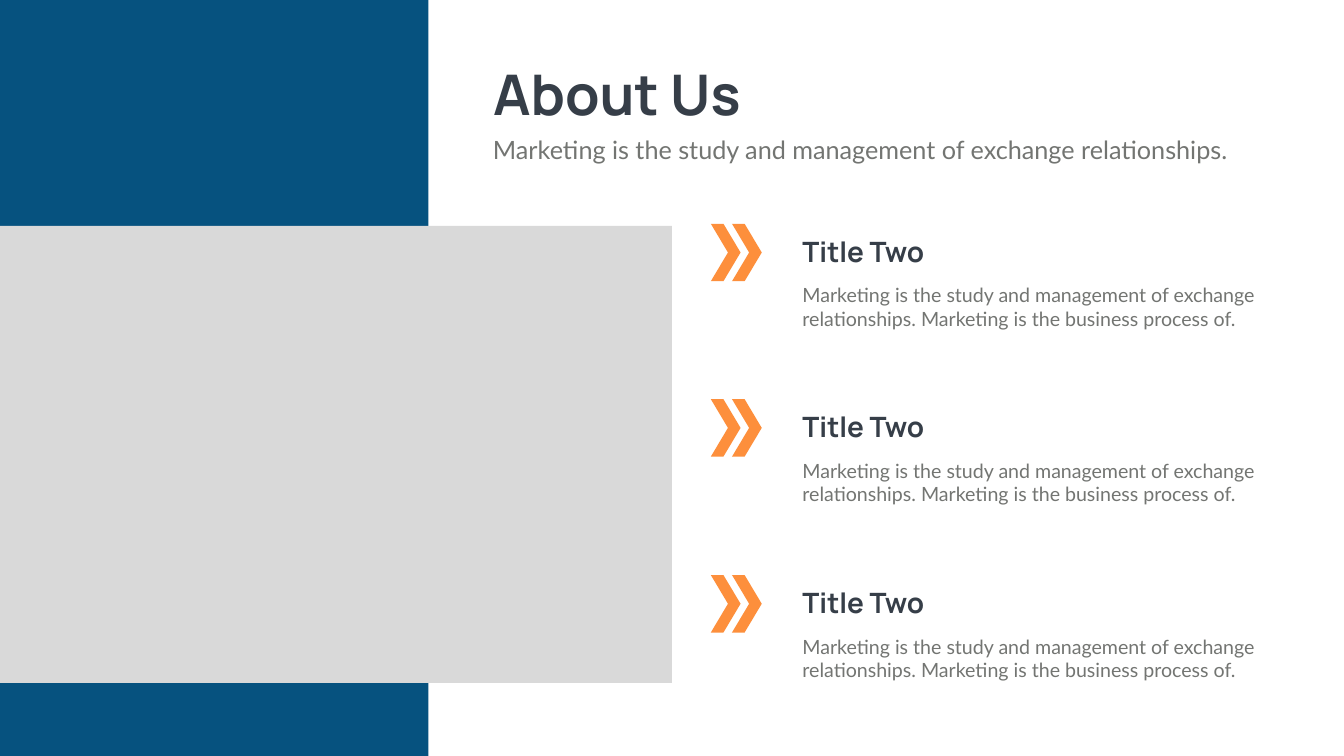
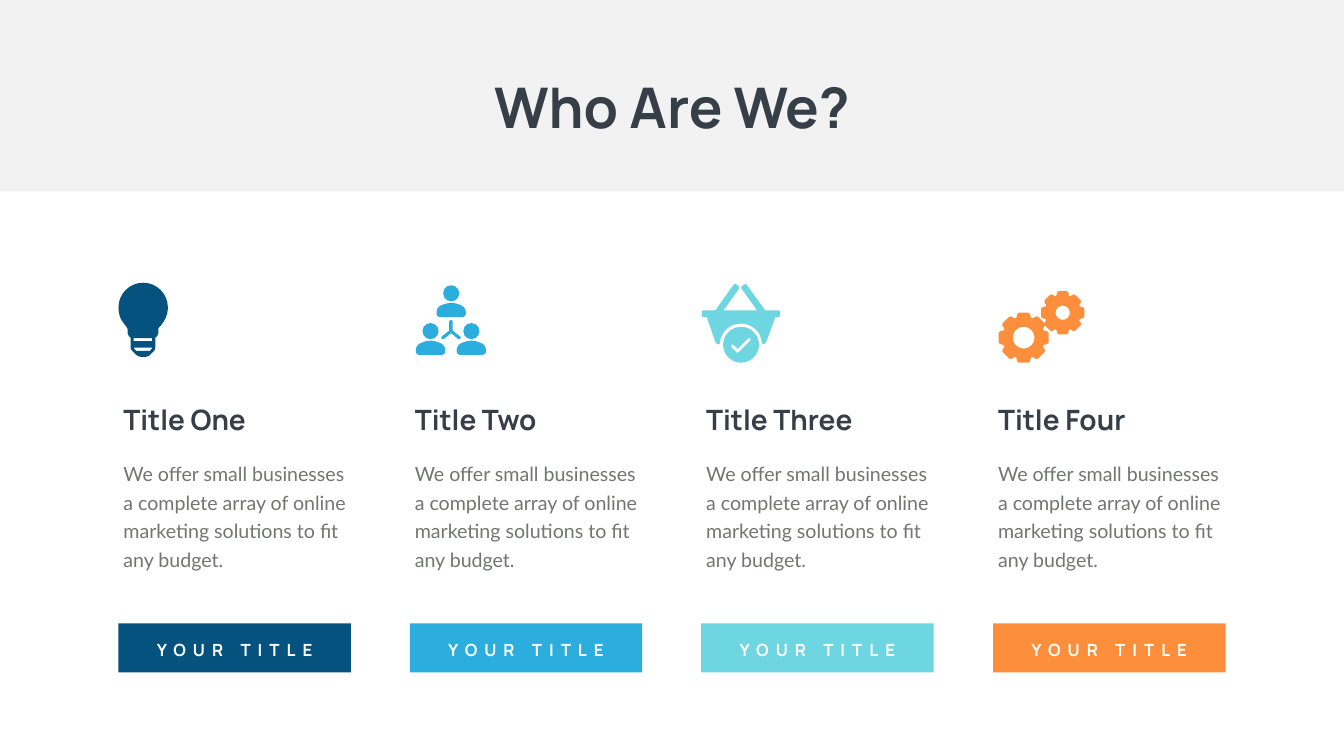
from math import cos, pi, sin

from pptx import Presentation
from pptx.dml.color import RGBColor
from pptx.enum.shapes import MSO_SHAPE as SHAPE
from pptx.enum.text import MSO_ANCHOR as ANCHOR
from pptx.enum.text import MSO_AUTO_SIZE as AUTO_SIZE
from pptx.enum.text import PP_ALIGN as ALIGN
from pptx.util import Pt

PX = 9144  # EMU in one px, 100 px to the inch
WIDTH, HEIGHT = 2666, 1500
COLORS = {
    "navy": "06527F",
    "blue": "2BAEDD",
    "aqua": "6ED6E1",
    "orange": "FD8F3C",
    "dark": "363E48",
    "gray": "737572",
    "photo": "D9D9D9",
    "band": "F2F2F2",
    "white": "FFFFFF",
}
HEAD_FONT, BODY_FONT = "Manrope", "Lato"
TITLE_ONLY = 5

ABOUT = "Marketing is the study and management of exchange relationships."
ABOUT_MORE = ABOUT + " Marketing is the business process of."
OFFER = ("We offer small businesses a complete array of online "
         "marketing solutions to fit any budget.")

# Outlines: a pair is a line to a point, six numbers are a Bezier curve.
BULB = [
    [(266, 690), (266, 691, 266, 692, 267, 693), (270, 696), (298, 696),
     (300, 693), (301, 692, 302, 691, 302, 690)],
    [(265, 671), (265, 677), (302, 677), (302, 671)],
    [(284, 561), (311, 561, 333, 583, 333, 610),
     (333, 629, 324, 639, 319, 646), (316, 649, 314, 651, 314, 653),
     (314, 659), (314, 664, 312, 667, 308, 670), (308, 689),
     (308, 692, 307, 695, 305, 697), (299, 703),
     (296, 706, 292, 708, 288, 708), (280, 708),
     (276, 708, 272, 706, 269, 703), (263, 697),
     (261, 695, 259, 692, 259, 689), (259, 670),
     (256, 667, 253, 664, 253, 659), (253, 653),
     (253, 651, 251, 649, 249, 646), (243, 639, 235, 629, 235, 610),
     (235, 583, 257, 561, 284, 561)],
]
SHOULDERS = [
    (-22, 47), (22, 47), (26, 47, 29, 44, 29, 40), (29, 38),
    (29, 32, 26, 28, 22, 25), (16, 22, 8, 19, 0, 19),
    (-8, 19, -16, 22, -22, 25), (-26, 28, -29, 32, -29, 38), (-29, 40),
    (-29, 44, -26, 47, -22, 47),
]
BRANCHES = [
    (910, 673), (911, 673, 912, 672, 913, 672), (914, 670, 914, 668, 912, 667),
    (898, 656), (898, 638), (898, 637, 896, 635, 895, 635),
    (893, 635, 891, 637, 891, 638), (891, 656), (877, 667),
    (876, 668, 875, 670, 876, 672), (878, 673, 880, 673, 881, 672),
    (895, 661), (908, 672), (909, 673, 910, 673, 910, 673),
]
BASKET = [
    (1544, 616), (1518, 616), (1481, 565), (1480, 564, 1478, 563, 1477, 564),
    (1472, 568), (1470, 569, 1470, 571, 1471, 573), (1502, 616), (1435, 616),
    (1466, 573), (1467, 571, 1466, 569, 1465, 568), (1460, 564),
    (1458, 563, 1456, 564, 1455, 565), (1419, 616), (1395, 616),
    (1393, 616, 1392, 617, 1392, 619), (1392, 625),
    (1392, 627, 1393, 629, 1395, 629), (1402, 629), (1418, 676),
    (1419, 678, 1420, 680, 1422, 682), (1423, 683, 1424, 683, 1426, 683),
    (1427, 682, 1428, 681, 1428, 680), (1430, 658, 1448, 642, 1470, 642),
    (1491, 642, 1510, 658, 1511, 680), (1512, 681, 1512, 682, 1514, 683),
    (1515, 683, 1516, 683, 1517, 682), (1519, 680, 1520, 678, 1521, 676),
    (1538, 629), (1544, 629), (1546, 629, 1547, 627, 1547, 625), (1547, 619),
    (1547, 617, 1546, 616, 1544, 616),
]
CHECK = [
    (1488, 676), (1465, 699), (1464, 700, 1462, 700, 1461, 699), (1451, 689),
    (1450, 688, 1450, 686, 1451, 685), (1452, 683, 1454, 683, 1456, 685),
    (1463, 692), (1483, 672), (1485, 670, 1487, 670, 1488, 672),
    (1489, 673, 1489, 675, 1488, 676),
]
# One tooth of a gear of radius 50, pointing up.
TOOTH = [(-14.5, -39.5), (-12.5, -47), (-9.5, -49.7),
         (9.5, -49.7), (12.5, -47), (14.5, -39.5)]


def rgb(name):
    return RGBColor.from_string(COLORS[name])


def paint(sp, color):
    """Give a shape a flat fill without line or shadow."""
    sp.shadow.inherit = False
    sp.fill.solid()
    sp.fill.fore_color.rgb = rgb(color)
    sp.line.fill.background()


def place(sp, box):
    sp.left, sp.top, sp.width, sp.height = (v * PX for v in box)


def add_block(shapes, kind, box, color, adj=None):
    sp = shapes.add_shape(kind, *(v * PX for v in box))
    if adj is not None:
        sp.adjustments[0] = adj
    paint(sp, color)


def write(sp, text, size, font=HEAD_FONT, color="dark", bold=True,
          align=ALIGN.LEFT, line=None, spacing=None):
    tf = sp.text_frame
    tf.word_wrap = True
    tf.auto_size = AUTO_SIZE.SHAPE_TO_FIT_TEXT
    tf.vertical_anchor = ANCHOR.TOP
    p = tf.paragraphs[0]
    p.alignment = align
    if line:
        p.line_spacing = Pt(line)
    r = p.add_run()
    r.text = text
    r.font.size = Pt(size)
    r.font.name = font
    r.font.bold = bold
    r.font.color.rgb = rgb(color)
    if spacing:
        r.font._element.set("spc", str(spacing * 100))


def add_text(shapes, box, text, size, **style):
    sp = shapes.add_textbox(*(v * PX for v in box))
    write(sp, text, size, **style)


def add_body(shapes, box, text, size=28, line=None):
    add_text(shapes, box, text, size, font=BODY_FONT, color="gray",
             bold=False, line=line)


def add_title(slide, box, text, align=ALIGN.LEFT):
    """Format the title placeholder and bring it in front of the bands."""
    sp = slide.shapes.title
    place(sp, box)
    write(sp, text, 80, align=align)
    slide.shapes._spTree.append(sp._element)


def flatten(outline, steps=8):
    """Turn lines and Bezier curves into a list of points."""
    points = [outline[0]]
    for part in outline[1:]:
        if len(part) == 2:
            points.append(part)
            continue
        x0, y0 = points[-1]
        x1, y1, x2, y2, x3, y3 = part
        for i in range(1, steps + 1):
            t = i / steps
            a, b, c, d = (1 - t) ** 3, 3 * t * (1 - t) ** 2, 3 * t * t * (1 - t), t ** 3
            points.append((a * x0 + b * x1 + c * x2 + d * x3,
                           a * y0 + b * y1 + c * y2 + d * y3))
    return points


def add_outline(shapes, outlines, color):
    """Draw closed outlines as one shape; inner ones become holes."""
    builder = None
    for outline in outlines:
        points = [(round(x * PX), round(y * PX)) for x, y in flatten(outline)]
        if builder is None:
            builder = shapes.build_freeform(*points[0], scale=1.0)
        else:
            builder.move_to(*points[0])
        builder.add_line_segments(points[1:], close=True)
    paint(builder.convert_to_shape(), color)


def shift(outline, dx, dy):
    return [tuple(v + (dy if i % 2 else dx) for i, v in enumerate(part))
            for part in outline]


def circle(cx, cy, radius, steps=48):
    return [(cx + radius * cos(2 * pi * i / steps),
             cy + radius * sin(2 * pi * i / steps)) for i in range(steps)]


def gear(cx, cy, scale, teeth=8):
    points = []
    for i in range(teeth):
        c, s = cos(2 * pi * i / teeth), sin(2 * pi * i / teeth)
        points += [(cx + scale * (x * c - y * s), cy + scale * (x * s + y * c))
                   for x, y in TOOTH]
    return points


def draw_bulb(shapes, color):
    add_outline(shapes, BULB, color)


def draw_team(shapes, color):
    team = shapes.add_group_shape().shapes
    for cx, cy in ((895, 582), (854, 657), (935, 657)):
        add_block(team, SHAPE.OVAL, (cx - 16, cy - 16, 32, 32), color)
        add_outline(team, [shift(SHOULDERS, cx, cy)], color)
    add_outline(team, [BRANCHES], color)


def draw_basket(shapes, color):
    basket = shapes.add_group_shape().shapes
    add_outline(basket, [BASKET], color)
    add_outline(basket, [circle(1470, 684, 35.5), CHECK], color)


def draw_gears(shapes, color):
    add_outline(shapes, [gear(2030.5, 670, 1), circle(2030.5, 670, 21.5),
                         gear(2108, 620.5, 0.86), circle(2108, 620.5, 14)], color)


def add_point(shapes, top):
    """Add a double chevron with a heading and a text."""
    group = shapes.add_group_shape().shapes
    for left in (1410, 1452):
        add_block(group, SHAPE.CHEVRON, (left, top, 59, 114), "orange", adj=0.576)
    add_body(group, (1582, top + 113, 944, 104), ABOUT_MORE)
    add_text(group, (1582, top + 16, 944, 77), "Title Two", 40)


def add_button(shapes, left, color):
    group = shapes.add_group_shape().shapes
    add_block(group, SHAPE.ROUNDED_RECTANGLE, (left, 1237, 461, 97), color, adj=0)
    add_text(group, (left + 22, 1264, 417, 50), "YOUR TITLE", 24,
             color="white", align=ALIGN.CENTER, spacing=10)


def add_column(shapes, left, heading, color, draw_icon):
    add_body(shapes, (left, 902, 461, 234), OFFER, line=40.8)
    add_text(shapes, (left, 793, 461, 77), heading, 40)
    draw_icon(shapes, color)
    add_button(shapes, left, color)


def build_about(slide):
    shapes = slide.shapes
    add_block(shapes, SHAPE.RECTANGLE, (0, 0, 850, HEIGHT), "navy")
    add_block(shapes, SHAPE.RECTANGLE, (0, 448, WIDTH // 2, 907), "photo")
    for i in range(3):
        add_point(shapes, 444 + i * 697 // 2)
    add_title(slide, (968, 114, 1027, 145), "About Us")
    add_body(shapes, (968, 261, 1558, 71), ABOUT, size=36)


def build_who(slide):
    shapes = slide.shapes
    add_block(shapes, SHAPE.RECTANGLE, (0, 0, WIDTH, 380), "band")
    add_title(slide, (794, 138, 1078, 145), "Who Are We?", align=ALIGN.CENTER)
    columns = (
        ("Title One", "navy", draw_bulb),
        ("Title Two", "blue", draw_team),
        ("Title Three", "aqua", draw_basket),
        ("Title Four", "orange", draw_gears),
    )
    for i, column in enumerate(columns):
        add_column(shapes, 235 + i * 1735 // 3, *column)


def main():
    prs = Presentation()
    prs.slide_width, prs.slide_height = WIDTH * PX, HEIGHT * PX
    for build in (build_about, build_who):
        build(prs.slides.add_slide(prs.slide_layouts[TITLE_ONLY]))
    prs.save("out.pptx")


if __name__ == "__main__":
    main()
